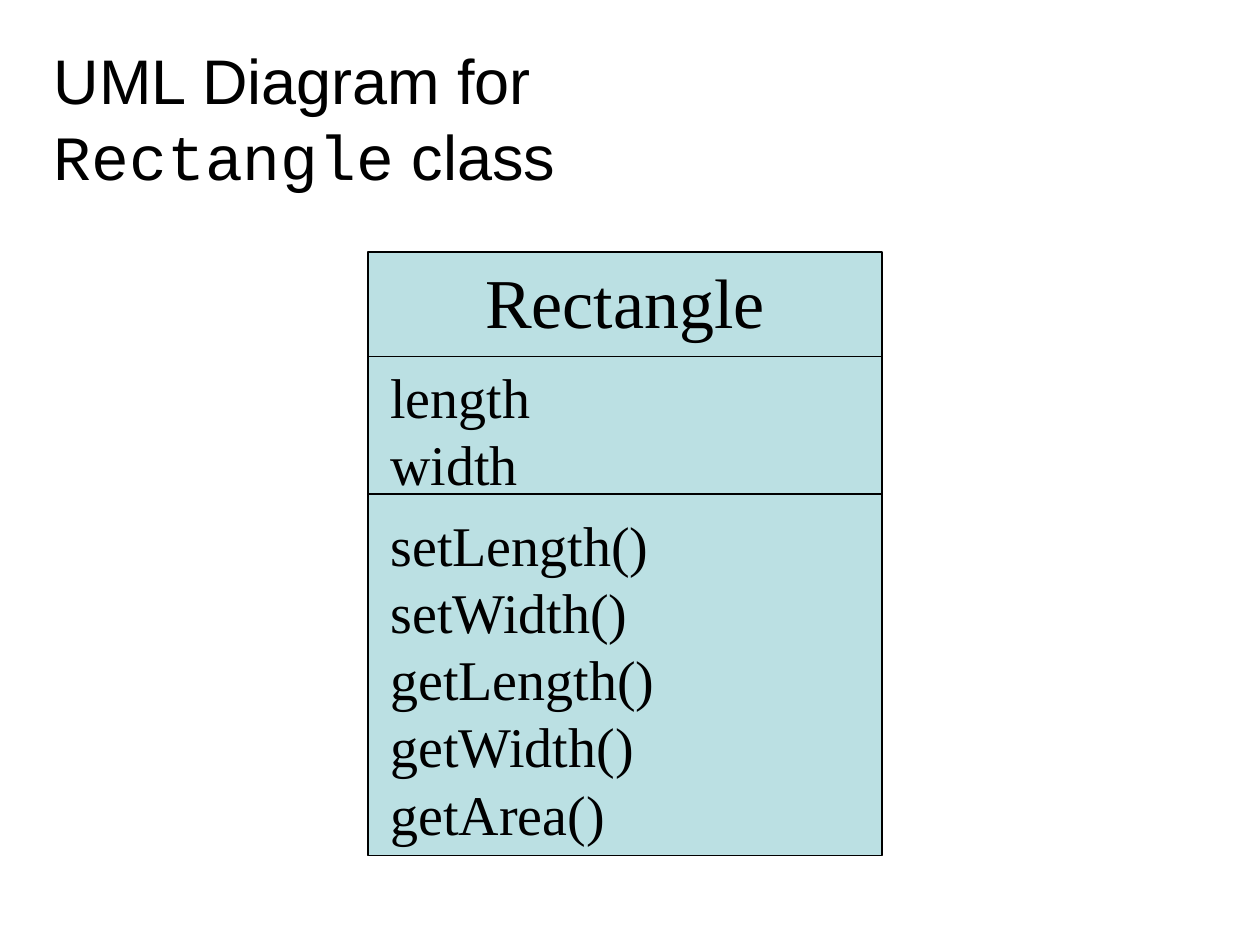
from pptx import Presentation
from pptx.dml.color import RGBColor
from pptx.enum.shapes import MSO_CONNECTOR, MSO_SHAPE
from pptx.enum.text import MSO_ANCHOR, PP_ALIGN
from pptx.oxml.ns import qn
from pptx.util import Inches, Pt
from lxml.etree import SubElement

THEME = {
    "ink": RGBColor(0x00, 0x00, 0x00),
    "class_fill": RGBColor(0xBB, 0xE0, 0xE3),
    "rule": Pt(0.75),
    "title": {"name": "Arial", "size": Pt(36)},
    "code": {"name": "Courier New", "size": Pt(36)},
    "class_name": {"name": "Times New Roman", "size": Pt(40)},
    "member": {"name": "Times New Roman", "size": Pt(32)},
}

TITLE = [[("UML Diagram for\v", "title"), ("Rectangle", "code"), (" class", "title")]]
CLASS_NAME = "Rectangle"
FIELDS = ["length", "width"]
METHODS = ["setLength()", "setWidth()", "getLength()", "getWidth()", "getArea()"]

LEFT, TOP, WIDTH, HEIGHT = 2.92, 2, 4.08, 4.79
FIELDS_TOP, METHODS_RULE, METHODS_TOP = 2.83, 3.92, 4
MEMBER_LEFT = 3

COMPARTMENTS = [
    ((0.33, 0.33, 8.5, 1.25), TITLE, {"vertical_anchor": MSO_ANCHOR.BOTTOM}, {}),
    ((LEFT, TOP, WIDTH, 0.55), [[(CLASS_NAME, "class_name")]], {},
     {"alignment": PP_ALIGN.CENTER, "space_before": Pt(20)}),
    ((MEMBER_LEFT, FIELDS_TOP, 1.83, 1.18), [[(field, "member")] for field in FIELDS], {}, {}),
    ((MEMBER_LEFT, METHODS_TOP, 3.75, 2.79), [[("\v".join(METHODS), "member")]], {},
     {"space_before": Pt(16)}),
]


def apply(target, values):
    """Set each attribute of the target from a dict of values."""
    for attribute, value in values.items():
        setattr(target, attribute, value)


def add_text(slide, box, paragraphs, frame_format, paragraph_format):
    """Add a wrapped text box of paragraphs made of styled pieces."""
    frame = slide.shapes.add_textbox(*map(Inches, box)).text_frame
    apply(frame, {"word_wrap": True, **frame_format})
    for index, pieces in enumerate(paragraphs):
        paragraph = frame.add_paragraph() if index else frame.paragraphs[0]
        apply(paragraph, paragraph_format)
        for wording, style in pieces:
            for part, line in enumerate(wording.split("\v")):
                if part:
                    paragraph.add_line_break()
                if line:
                    run = paragraph.add_run()
                    run.text = line
                    apply(run.font, THEME[style])
                    run.font.color.rgb = THEME["ink"]


def add_class_box(slide):
    """Add the filled class outline."""
    outline = slide.shapes.add_shape(
        MSO_SHAPE.RECTANGLE, *map(Inches, (LEFT, TOP, WIDTH, HEIGHT)))
    outline.shadow.inherit = False
    outline.fill.solid()
    outline.fill.fore_color.rgb = THEME["class_fill"]
    outline.line.color.rgb = THEME["ink"]
    outline.line.width = THEME["rule"]


def add_divider(slide, height):
    """Add a rule across the class box at the given height."""
    divider = slide.shapes.add_connector(
        MSO_CONNECTOR.STRAIGHT, *map(Inches, (LEFT, height, LEFT + WIDTH, height)))
    divider.line.color.rgb = THEME["ink"]
    divider.line.width = THEME["rule"]
    SubElement(divider._element.spPr, qn("a:effectLst"))


def main():
    """Build the class diagram slide."""
    deck = Presentation()
    apply(deck, {"slide_width": Inches(10), "slide_height": Inches(7.5)})
    slide = deck.slides.add_slide(deck.slide_layouts[6])
    add_class_box(slide)
    for height in (FIELDS_TOP, METHODS_RULE):
        add_divider(slide, height)
    for compartment in COMPARTMENTS:
        add_text(slide, *compartment)
    deck.save("out.pptx")


if __name__ == "__main__":
    main()
